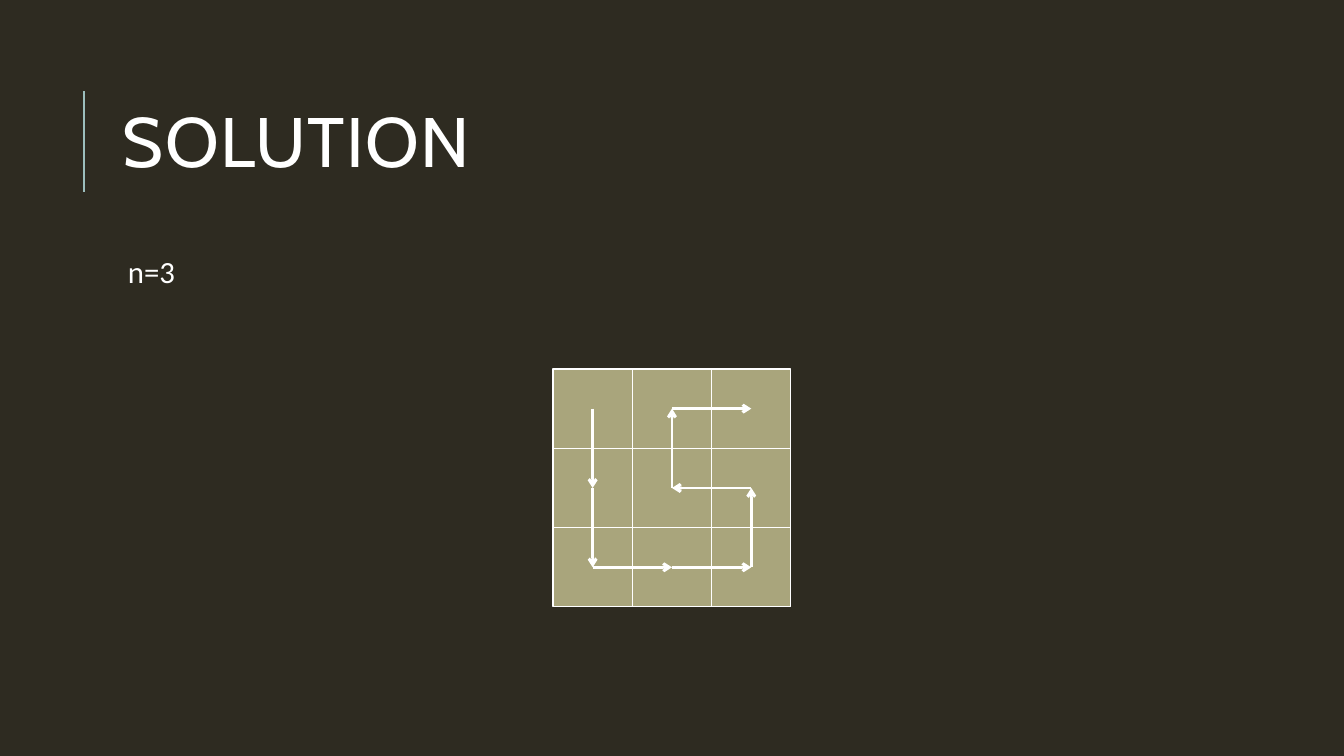
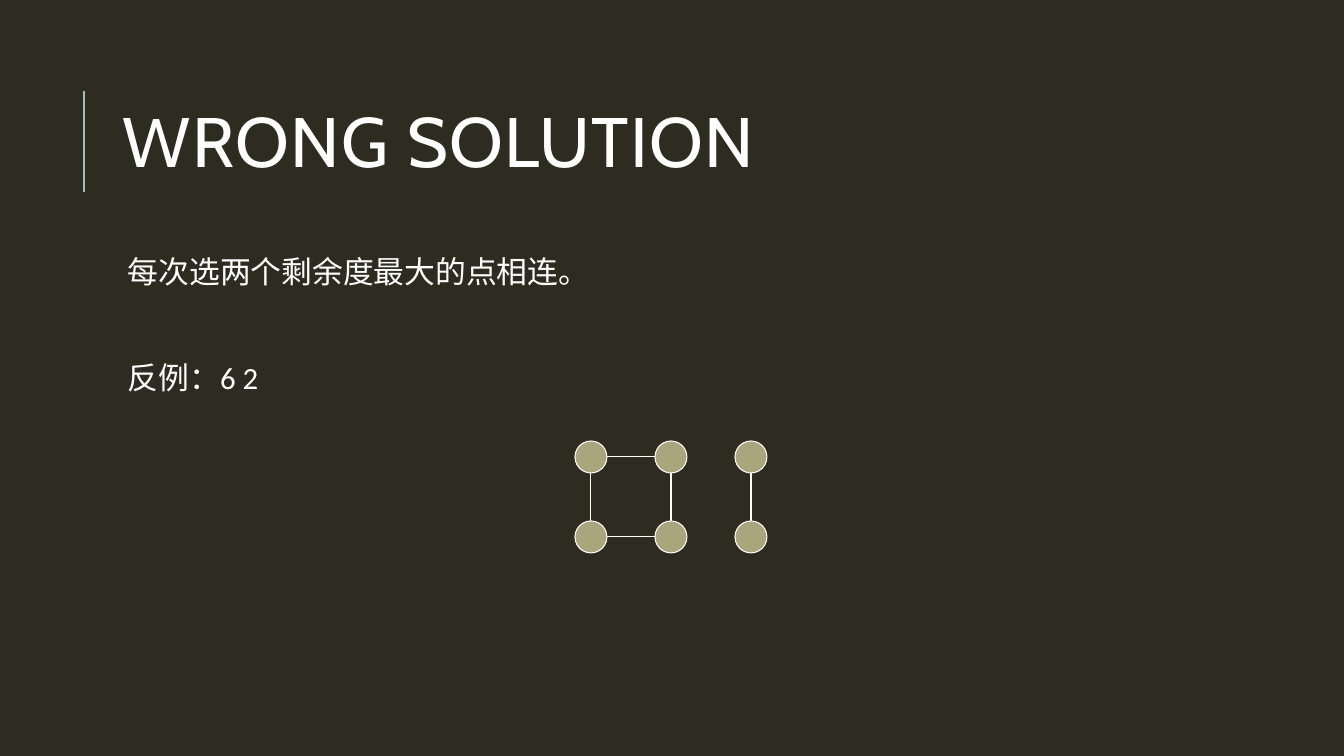
"""Build two slides on a grid path for n=3 and a counterexample to a greedy method."""
from lxml import etree
from pptx import Presentation
from pptx import util as u
from pptx.dml.color import RGBColor
from pptx.enum import shapes, text
from pptx.oxml import ns

PX = 914400 / 100.8
BACKGROUND = RGBColor(0x2E, 0x2B, 0x21)
WHITE = RGBColor(0xFF, 0xFF, 0xFF)
KHAKI = RGBColor(0xA9, 0xA5, 0x7C)
TEAL = RGBColor(0x9C, 0xBE, 0xBD)

SLIDE_SIZE = (1344, 756)
TITLE_BOX = (113, 65, 1072, 165)
BODY_BOX = (113, 252, 1072, 444)
TITLE_BAR = ((84, 192), (84, 91))

TITLE_FRAME = {"word_wrap": True, "vertical_anchor": text.MSO_ANCHOR.MIDDLE}
BODY_FRAME = {"word_wrap": True, "margin_left": 15 * PX, "margin_right": 5 * PX,
              "margin_top": 5 * PX, "margin_bottom": 5 * PX}
TITLE_FONT = {"name": "Cabin", "size": u.Pt(50)}
BODY_FONT = {"name": "Calibri", "size": u.Pt(22)}
TITLE_PARAGRAPH = {"line_spacing": 0.8}
BODY_PARAGRAPH = {"line_spacing": 0.9, "space_after": u.Pt(2)}

SOLUTION_BODY = [("n=3", 12)]
WRONG_BODY = [("每次选两个剩余度最大的点相连。", 12), ("反例：6 2", 50)]

GRID_ORIGIN = (553, 369)
GRID_SIZE = 238
GRID_COUNT = 3
PATH_CELLS = [(0, 0), (0, 1), (0, 2), (1, 2), (2, 2), (2, 1), (1, 1), (1, 0), (2, 0)]

NODE_ORIGIN = (591, 457)
NODE_GAP = 80
NODE_RADIUS = 16
NODES = [(column, row) for column in range(3) for row in range(2)]
EDGES = [((0, 0), (1, 0)), ((0, 1), (1, 1)),
         ((0, 0), (0, 1)), ((1, 0), (1, 1)), ((2, 0), (2, 1))]


def emu(*lengths):
    return [u.Emu(round(length * PX)) for length in lengths]


def apply(target, values):
    for name, value in values.items():
        setattr(target, name, round(value) if name.startswith("margin") else value)


def add_text(slide, box, lines, frame_format, paragraph_format, font_format, tracking=0):
    frame = slide.shapes.add_textbox(*emu(*box)).text_frame
    apply(frame, frame_format)
    for index, (line, space_before) in enumerate(lines):
        paragraph = frame.add_paragraph() if index else frame.paragraphs[0]
        apply(paragraph, paragraph_format)
        paragraph.space_before = u.Pt(space_before)
        run = paragraph.add_run()
        run.text = line
        apply(run.font, font_format)
        run.font.color.rgb = WHITE
        if tracking:
            run._r.get_or_add_rPr().set("spc", str(tracking * 100))


def add_line(slide, start, end, width=0.75, color=WHITE, arrow=False):
    connector = slide.shapes.add_connector(
        shapes.MSO_CONNECTOR.STRAIGHT, *emu(*start, *end))
    connector.line.width = u.Pt(width)
    connector.line.color.rgb = color
    if arrow:
        etree.SubElement(connector.line._get_or_add_ln(), ns.qn("a:tailEnd"), type="arrow")
    etree.SubElement(connector._element.spPr, ns.qn("a:effectLst"))


def add_figure(slide, kind, box):
    shape = slide.shapes.add_shape(kind, *emu(*box))
    shape.shadow.inherit = False
    shape.fill.solid()
    shape.fill.fore_color.rgb = KHAKI
    shape.line.color.rgb = WHITE
    shape.line.width = u.Pt(0.75)


def add_slide(presentation, title, body):
    slide = presentation.slides.add_slide(presentation.slide_layouts[6])
    slide.background.fill.solid()
    slide.background.fill.fore_color.rgb = BACKGROUND
    add_line(slide, *TITLE_BAR, width=1.5, color=TEAL)
    add_text(slide, TITLE_BOX, [(title, 0)], TITLE_FRAME, TITLE_PARAGRAPH, TITLE_FONT, 1)
    add_text(slide, BODY_BOX, body, BODY_FRAME, BODY_PARAGRAPH, BODY_FONT)
    return slide


def draw_grid_path(slide):
    left, top = GRID_ORIGIN
    cell = GRID_SIZE / GRID_COUNT
    add_figure(slide, shapes.MSO_SHAPE.RECTANGLE, (left, top, GRID_SIZE, GRID_SIZE))
    for index in range(1, GRID_COUNT):
        offset = index * cell
        add_line(slide, (left, top + offset), (left + GRID_SIZE, top + offset))
        add_line(slide, (left + offset, top), (left + offset, top + GRID_SIZE))
    centers = [(left + (column + 0.5) * cell, top + (row + 0.5) * cell)
               for column, row in PATH_CELLS]
    for start, end in zip(centers, centers[1:]):
        add_line(slide, start, end, width=2, arrow=True)


def draw_graph(slide):
    left, top = NODE_ORIGIN
    centers = {(column, row): (left + column * NODE_GAP, top + row * NODE_GAP)
               for column, row in NODES}
    for x, y in centers.values():
        add_figure(slide, shapes.MSO_SHAPE.OVAL,
                   (x - NODE_RADIUS, y - NODE_RADIUS, 2 * NODE_RADIUS, 2 * NODE_RADIUS))
    for first, second in EDGES:
        dx, dy = [(b - a) * NODE_RADIUS for a, b in zip(first, second)]
        (x1, y1), (x2, y2) = centers[first], centers[second]
        add_line(slide, (x1 + dx, y1 + dy), (x2 - dx, y2 - dy))


def main():
    presentation = Presentation()
    presentation.slide_width, presentation.slide_height = emu(*SLIDE_SIZE)
    draw_grid_path(add_slide(presentation, "SOLUTION", SOLUTION_BODY))
    draw_graph(add_slide(presentation, "WRONG SOLUTION", WRONG_BODY))
    presentation.save("out.pptx")


if __name__ == "__main__":
    main()
